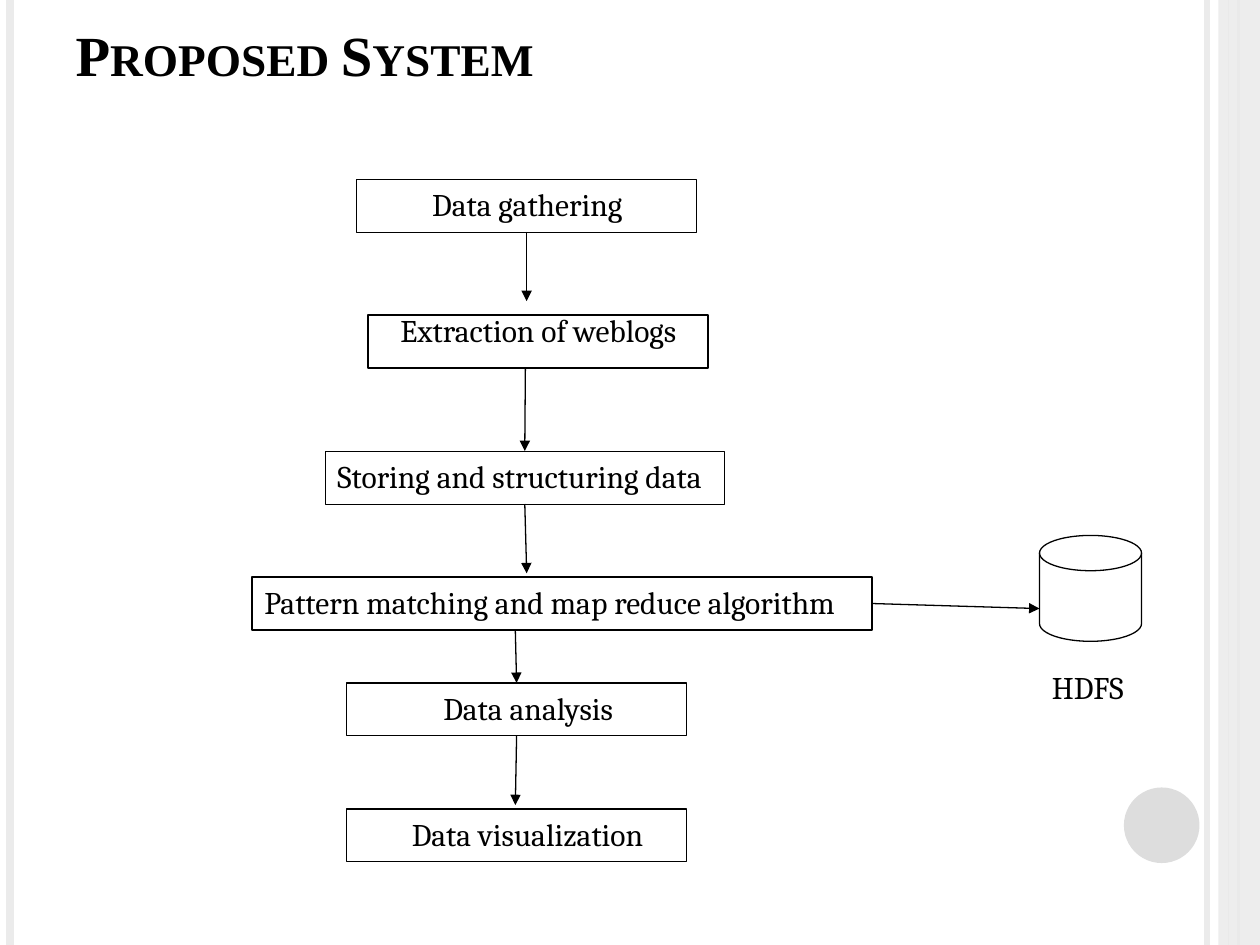
from dataclasses import dataclass

from pptx import Presentation
from pptx.dml.color import RGBColor
from pptx.enum.shapes import MSO_CONNECTOR, MSO_SHAPE
from pptx.enum.text import MSO_ANCHOR, MSO_AUTO_SIZE, PP_ALIGN
from pptx.oxml.ns import qn
from pptx.util import Inches, Pt
from lxml.etree import SubElement


@dataclass(frozen=True)
class Theme:
    ink: RGBColor = RGBColor(0, 0, 0)
    paper: RGBColor = RGBColor(255, 255, 255)
    pale: RGBColor = RGBColor(0xEB, 0xEB, 0xEB)
    grey: RGBColor = RGBColor(0xDD, 0xDD, 0xDD)
    title_font: str = "Times New Roman"
    body_font: str = "Cambria"
    title_size: float = 32.4
    body_size: float = 18


theme = Theme()


def add_line(start, end, color, width):
    line = page.shapes.add_connector(
        MSO_CONNECTOR.STRAIGHT, *map(Inches, (*start, *end)))
    line.line.color.rgb = color
    line.line.width = Pt(width)
    SubElement(line._element.spPr, qn("a:effectLst"))
    return line


def write(shape, text, indent=0.1):
    """Put body text in a shape, left aligned after the given inset."""
    frame = shape.text_frame
    frame.margin_left = Inches(indent)
    frame.vertical_anchor = MSO_ANCHOR.TOP
    para = frame.paragraphs[0]
    para.alignment = PP_ALIGN.LEFT
    span = para.add_run()
    span.text = text
    span.font.name = theme.body_font
    span.font.size = Pt(theme.body_size)
    span.font.color.rgb = theme.ink


deck = Presentation()
deck.slide_width, deck.slide_height = Inches(10), Inches(7.5)
page = deck.slides.add_slide(deck.slide_layouts[5])

# Side decoration
rails = [(9.58, theme.pale, 3), (0.08, theme.pale, 4.5),
         (9.83, theme.grey, 1.5), (9.75, theme.grey, 0.75)]
for x, color, width in rails:
    add_line((x, 0), (x, 7.5), color, width)

decor = [(MSO_SHAPE.RECTANGLE, (9.67, 0, 0.33, 7.5), theme.pale, 87),
         (MSO_SHAPE.OVAL, (8.92, 6.25, 0.6, 0.6), theme.grey, 100)]
for kind, place, color, opacity in decor:
    shape = page.shapes.add_shape(kind, *map(Inches, place))
    shape.shadow.inherit = False
    shape.fill.solid()
    shape.fill.fore_color.rgb = color
    shape.line.fill.background()
    if opacity < 100:
        tint = shape._element.spPr.find(".//" + qn("a:srgbClr"))
        SubElement(tint, qn("a:alpha"), val=str(opacity * 1000))

# Title
title = page.shapes.title
title.left, title.top, title.width, title.height = map(
    Inches, (0.5, 0.25, 9, 0.5))
title.text_frame.auto_size = MSO_AUTO_SIZE.NONE
title.text_frame.vertical_anchor = MSO_ANCHOR.BOTTOM
para = title.text_frame.paragraphs[0]
para.alignment = PP_ALIGN.LEFT
span = para.add_run()
span.text = "Proposed System"
title_format = {"name": theme.title_font, "size": Pt(theme.title_size),
                "bold": True}
for name, value in title_format.items():
    setattr(span.font, name, value)
span.font.color.rgb = theme.ink
span._r.get_or_add_rPr().set("cap", "small")

# Process steps: left, top, width, line width
step_height = 0.42
steps = {
    "gathering": (2.83, 1.42, 2.7, 0.25),
    "extraction": (2.92, 2.5, 2.7, 0.75),
    "storing": (2.58, 3.58, 3.17, 0.25),
    "matching": (2, 4.58, 4.92, 0.75),
    "analysis": (2.75, 5.42, 2.7, 0.75),
    "visualization": (2.75, 6.42, 2.7, 0.75),
    "store": (8.25, 4.25, 0.81, 0.75),
}
boxes = {}
for name, (left, top, width, stroke) in steps.items():
    is_store = name == "store"
    box = page.shapes.add_shape(
        MSO_SHAPE.FLOWCHART_MAGNETIC_DISK if is_store else MSO_SHAPE.RECTANGLE,
        *map(Inches, (left, top, width, 0.84 if is_store else step_height)))
    box.shadow.inherit = False
    box.fill.solid()
    box.fill.fore_color.rgb = theme.paper
    box.line.color.rgb = theme.ink
    box.line.width = Pt(stroke)
    boxes[name] = box

write(boxes["gathering"], "Data gathering", indent=0.6)
write(boxes["storing"], "Storing and structuring data")

# Arrows: start, end, box side joined at the start, box side joined at the end
BOTTOM, RIGHT, TOP = 2, 3, 0
arrows = [
    ((4.17, 1.83), (4.18, 2.39), ("gathering", BOTTOM), None),
    ((4.17, 2.92), (4.17, 3.58), None, ("storing", TOP)),
    ((4.17, 4), (4.18, 4.55), ("storing", BOTTOM), None),
    ((4.09, 5), (4.09, 5.42), None, ("analysis", TOP)),
    ((4.09, 5.83), (4.09, 6.39), ("analysis", BOTTOM), None),
    ((6.92, 4.79), (8.25, 4.83), ("matching", RIGHT), None),
]
for start, end, source, target in arrows:
    arrow = add_line(start, end, theme.ink, 0.75)
    SubElement(arrow.line._get_or_add_ln(), qn("a:tailEnd"), type="triangle")
    if source:
        arrow.begin_connect(boxes[source[0]], source[1])
    if target:
        arrow.end_connect(boxes[target[0]], target[1])

# Captions laid over or beside the shapes
captions = [
    ("Extraction of weblogs", (3.08, 2.42, 2.41, 0.4)),
    ("Pattern matching and map reduce algorithm", (2, 4.58, 5, 0.4)),
    ("Data analysis", (3.42, 5.42, 2.67, 0.4)),
    ("Data visualization", (3.17, 6.42, 2.67, 0.4)),
    ("HDFS", (8.25, 5.25, 0.92, 0.4)),
]
for text, place in captions:
    caption = page.shapes.add_textbox(*map(Inches, place))
    caption.text_frame.word_wrap = True
    write(caption, text)

deck.save("out.pptx")
